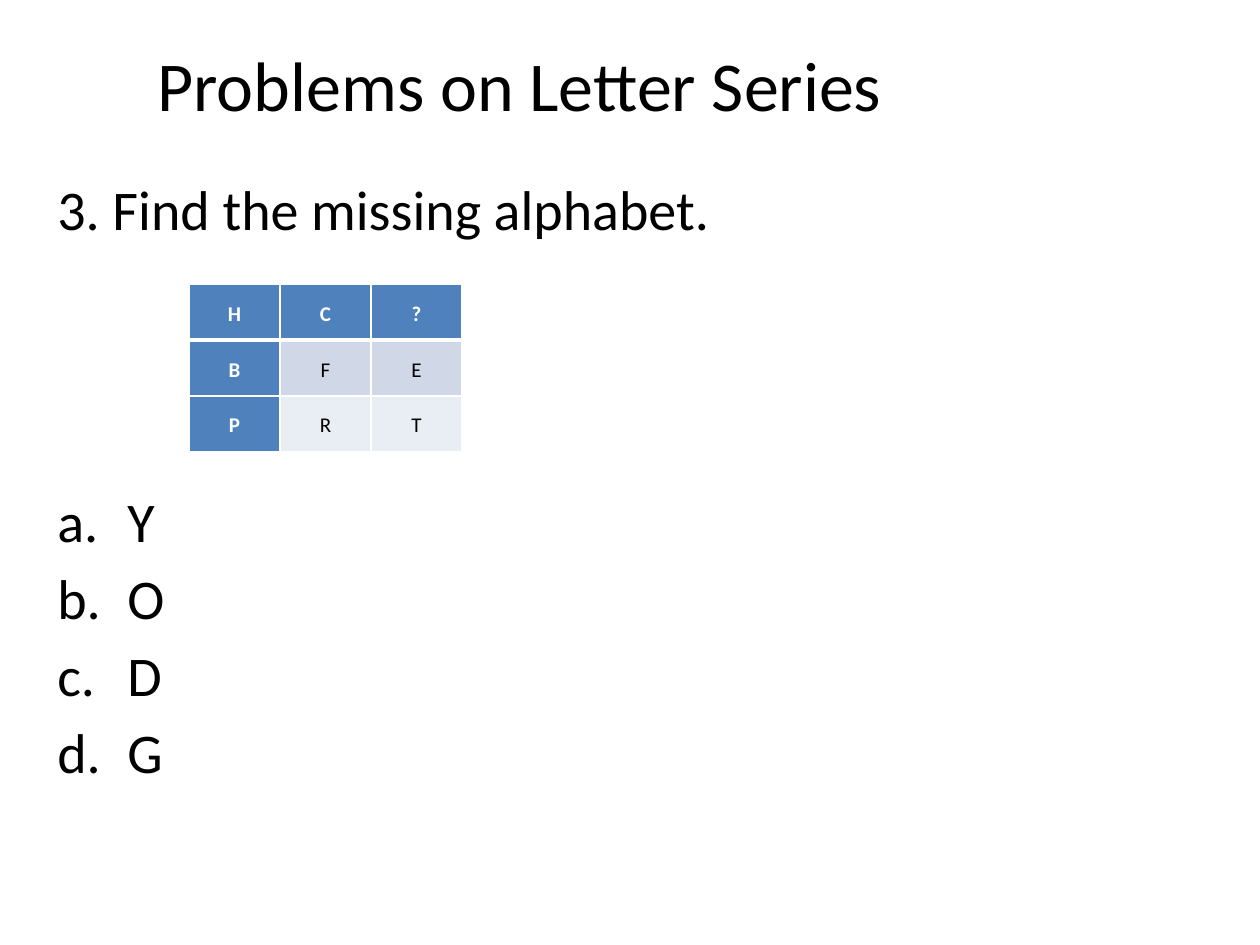
from lxml.etree import SubElement
from pptx import Presentation
from pptx.dml.color import RGBColor
from pptx.enum.text import MSO_ANCHOR as Anchor, PP_ALIGN as Align
from pptx.oxml.ns import qn
from pptx.util import Emu, Pt

FONT = "Calibri"
BLACK, WHITE, BLUE = "000000", "FFFFFF", "4F81BD"
BANDS = ["D0D8E8", "E9EDF4"]
LETTERS = ["HC?", "BFE", "PRT"]
OPTIONS = "YODG"


def px(n):
    """Convert pixels, 126 to the inch, to EMU."""
    return Emu(round(n * 914400 / 126))


def rgb(color):
    return RGBColor.from_string(color)


def add_run(p, text, size, color=BLACK, bold=False):
    r = p.add_run()
    r.text = text
    r.font.name, r.font.size, r.font.bold = FONT, Pt(size), bold
    r.font.color.rgb = rgb(color)


def add_text_frame(s, x, y, w, h, anchor):
    tf = s.shapes.add_textbox(px(x), px(y), px(w), px(h)).text_frame
    tf.word_wrap = True
    tf.vertical_anchor = anchor
    return tf


def add_title(s, x, y, w, h):
    p = add_text_frame(s, x, y, w, h, Anchor.MIDDLE).paragraphs[0]
    p.alignment = Align.CENTER
    add_run(p, "Problems on Letter Series", 40)


def number_paragraph(p, indent):
    """Give the paragraph a hanging a., b., c. number."""
    pPr = p._p.get_or_add_pPr()
    pPr.set("marL", str(indent))
    pPr.set("indent", str(-indent))
    SubElement(pPr, qn("a:buFont"), typeface="+mj-lt")
    SubElement(pPr, qn("a:buAutoNum"), type="alphaLcPeriod")


def add_question(s, x, y, w, h):
    """Place the question and its options, with room for the table between."""
    tf = add_text_frame(s, x, y, w, h, Anchor.TOP)
    p = tf.paragraphs[0]
    p.alignment = Align.JUSTIFY
    p.space_before = Pt(5.6)
    add_run(p, "3. Find the missing alphabet.", 32)
    for i, option in enumerate(OPTIONS):
        p = tf.add_paragraph()
        p.alignment = Align.JUSTIFY
        p.space_before = Pt(5.6 if i else 140)
        number_paragraph(p, px(70))
        add_run(p, option, 32)


def add_borders(cell, bottom):
    tcPr = cell._tc.get_or_add_tcPr()
    widths = {"a:lnL": 1, "a:lnR": 1, "a:lnT": 1, "a:lnB": bottom}
    for i, (tag, width) in enumerate(widths.items()):
        ln = SubElement(tcPr, qn(tag), w=str(Pt(width)))
        SubElement(SubElement(ln, qn("a:solidFill")), qn("a:srgbClr"), val=WHITE)
        tcPr.insert(i, ln)


def add_letter_table(s, x, y, w, h):
    rows, cols = len(LETTERS), len(LETTERS[0])
    table = s.shapes.add_table(rows, cols, px(x), px(y), px(w), px(h)).table
    for i, letters in enumerate(LETTERS):
        for j, letter in enumerate(letters):
            cell = table.cell(i, j)
            header = i == 0 or j == 0
            cell.fill.solid()
            cell.fill.fore_color.rgb = rgb(BLUE if header else BANDS[i - 1])
            cell.vertical_anchor = Anchor.MIDDLE
            cell.margin_left = cell.margin_right = px(9)
            cell.margin_top = cell.margin_bottom = 0
            add_borders(cell, 1 if i else 3)
            p = cell.text_frame.paragraphs[0]
            p.alignment = Align.CENTER
            p.line_spacing = 1.15
            p.space_after = Pt(10)
            add_run(p, letter, 12, WHITE if header else BLACK, header)


def main():
    prs = Presentation()
    prs.slide_width, prs.slide_height = px(1260), px(945)
    s = prs.slides.add_slide(prs.slide_layouts[6])
    add_title(s, 62, 10, 915, 147)
    add_question(s, 45, 168, 1183, 756)
    add_letter_table(s, 189, 284, 273, 168)
    prs.save("out.pptx")


if __name__ == "__main__":
    main()
